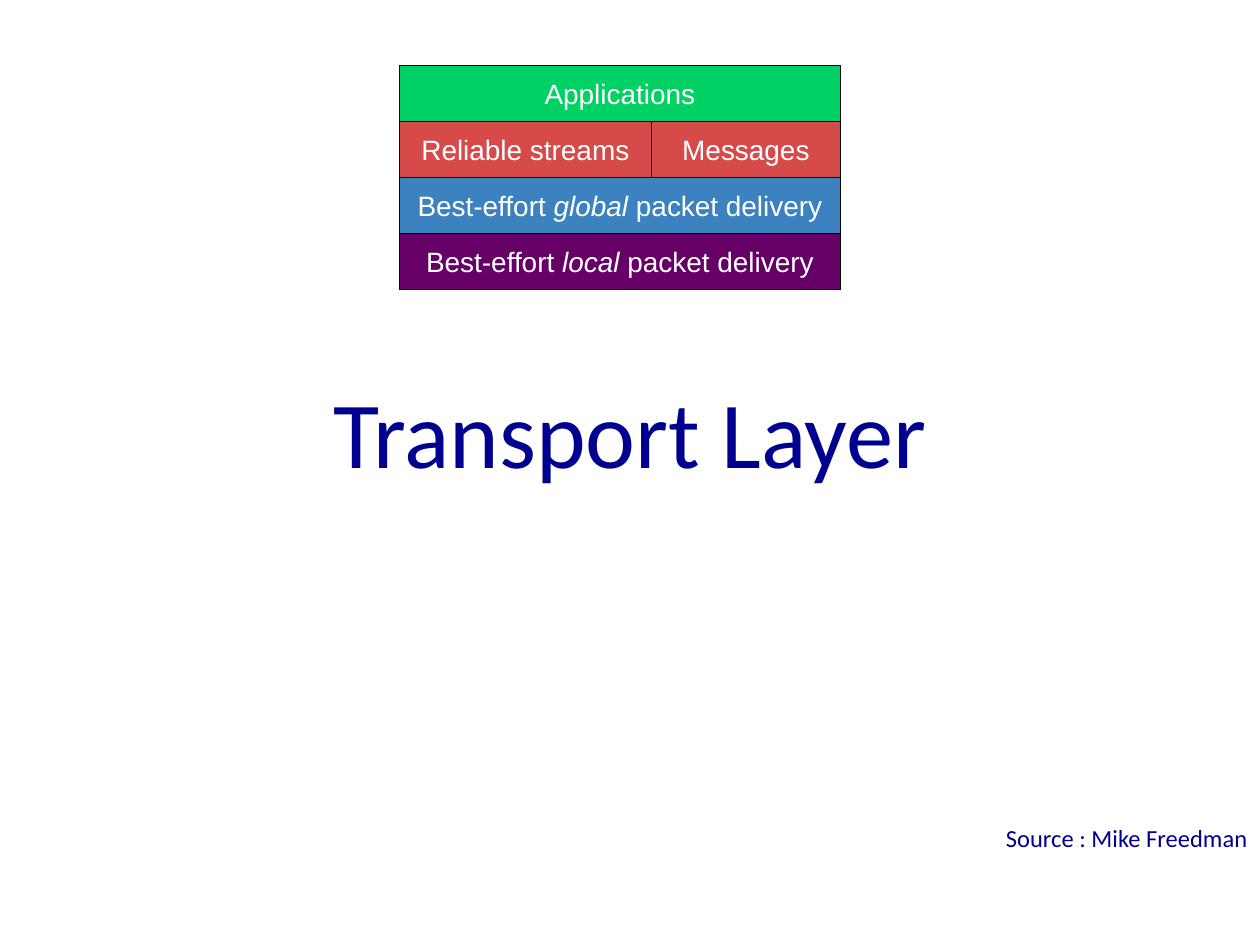
from pptx import Presentation
from pptx.dml.color import RGBColor
from pptx.enum.shapes import MSO_SHAPE
from pptx.enum.text import MSO_ANCHOR, PP_ALIGN
from pptx.util import Inches, Pt

COLORS = {
    "navy": "000090", "white": "FFFFFF", "black": "000000",
    "application": "00D164", "transport": "D64A49",
    "network": "3C82C0", "link": "660066",
}

# Each layer: colour, then (width share, [(text, italic), ...]) per block
LAYERS = [
    ("application", [(1, [("Applications", False)])]),
    ("transport", [(4 / 7, [("Reliable streams", False)]),
                   (3 / 7, [("Messages", False)])]),
    ("network", [(1, [("Best-effort ", False), ("global ", True),
                      ("packet delivery", False)])]),
    ("link", [(1, [("Best-effort ", False), ("local ", True),
                   ("packet delivery", False)])]),
]


def color(name):
    return RGBColor.from_string(COLORS[name])


def style(paragraph, font_name, size, color_name, align):
    paragraph.alignment = align
    paragraph.font.name = font_name
    paragraph.font.size = Pt(size)
    paragraph.font.color.rgb = color(color_name)


def add_block(slide, left, top, width, height, fill, pieces):
    block = slide.shapes.add_shape(MSO_SHAPE.RECTANGLE, left, top, width, height)
    block.shadow.inherit = False
    block.fill.solid()
    block.fill.fore_color.rgb = color(fill)
    block.line.color.rgb = color("black")
    block.line.width = Pt(0.75)
    frame = block.text_frame
    frame.word_wrap = False
    frame.vertical_anchor = MSO_ANCHOR.MIDDLE
    label = frame.paragraphs[0]
    style(label, "Arial", 16, "white", PP_ALIGN.CENTER)
    for text, italic in pieces:
        run = label.add_run()
        run.text = text
        if italic:
            run.font.italic = True


def add_layer_stack(slide, left, top, width, height):
    row_height = height / len(LAYERS)
    for row, (fill, blocks) in enumerate(LAYERS):
        x = left
        for share, pieces in blocks:
            block_width = round(width * share)
            add_block(slide, x, round(top + row * row_height),
                      block_width, round(row_height), fill, pieces)
            x += block_width


def add_caption(slide, left, top, width, height, text, size, align, anchor):
    frame = slide.shapes.add_textbox(left, top, width, height).text_frame
    frame.word_wrap = True
    frame.vertical_anchor = anchor
    caption = frame.paragraphs[0]
    caption.text = text
    style(caption, "Calibri", size, "navy", align)


def main():
    prs = Presentation()
    prs.slide_width, prs.slide_height = Inches(10), Inches(7.5)
    slide = prs.slides.add_slide(prs.slide_layouts[6])

    # Title
    add_caption(slide, Inches(0.75), Inches(2.79), Inches(8.5), Inches(1.25),
                "Transport Layer", 54, PP_ALIGN.CENTER, MSO_ANCHOR.MIDDLE)
    # Protocol layers
    add_layer_stack(slide, Inches(3.17), Inches(0.52), Inches(3.5), Inches(1.78))
    # Source credit
    add_caption(slide, Inches(0), Inches(6.48), Inches(10), Inches(0.64),
                "Source : Mike Freedman", 14, PP_ALIGN.RIGHT, MSO_ANCHOR.TOP)

    prs.save("out.pptx")


if __name__ == "__main__":
    main()
